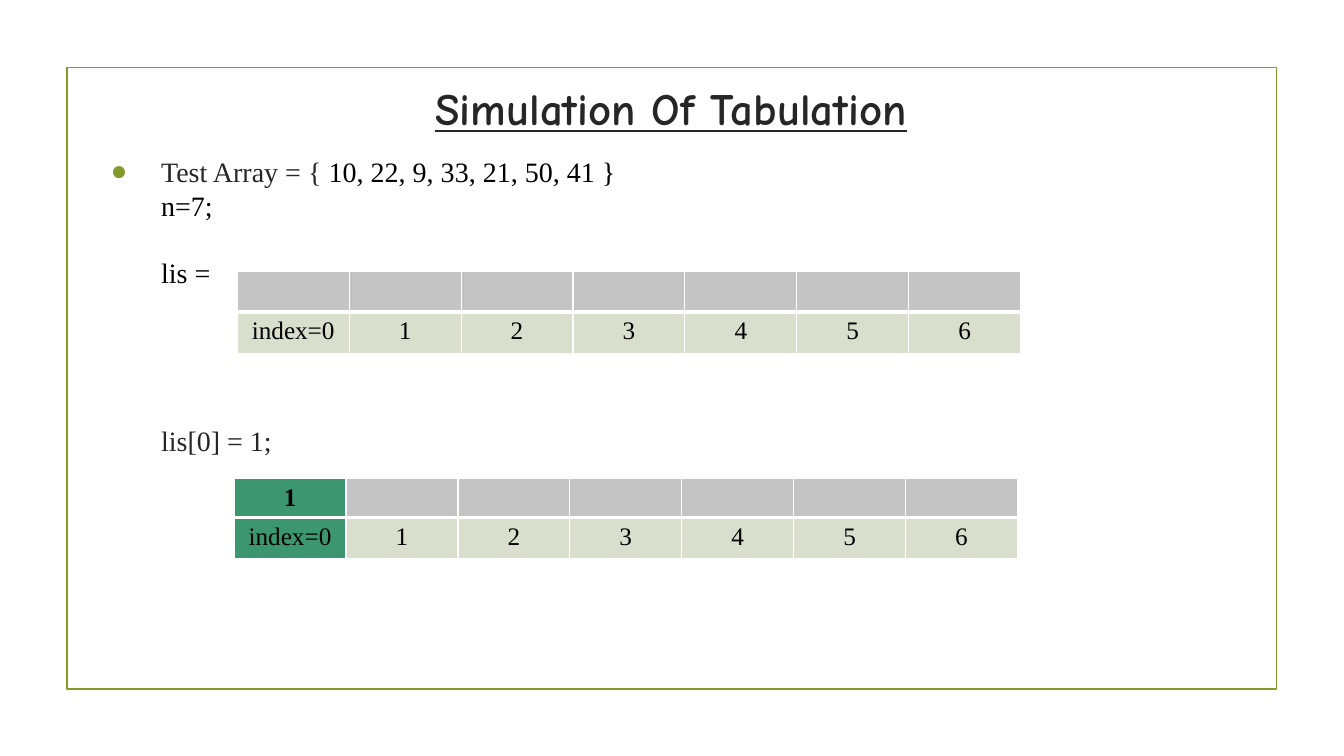
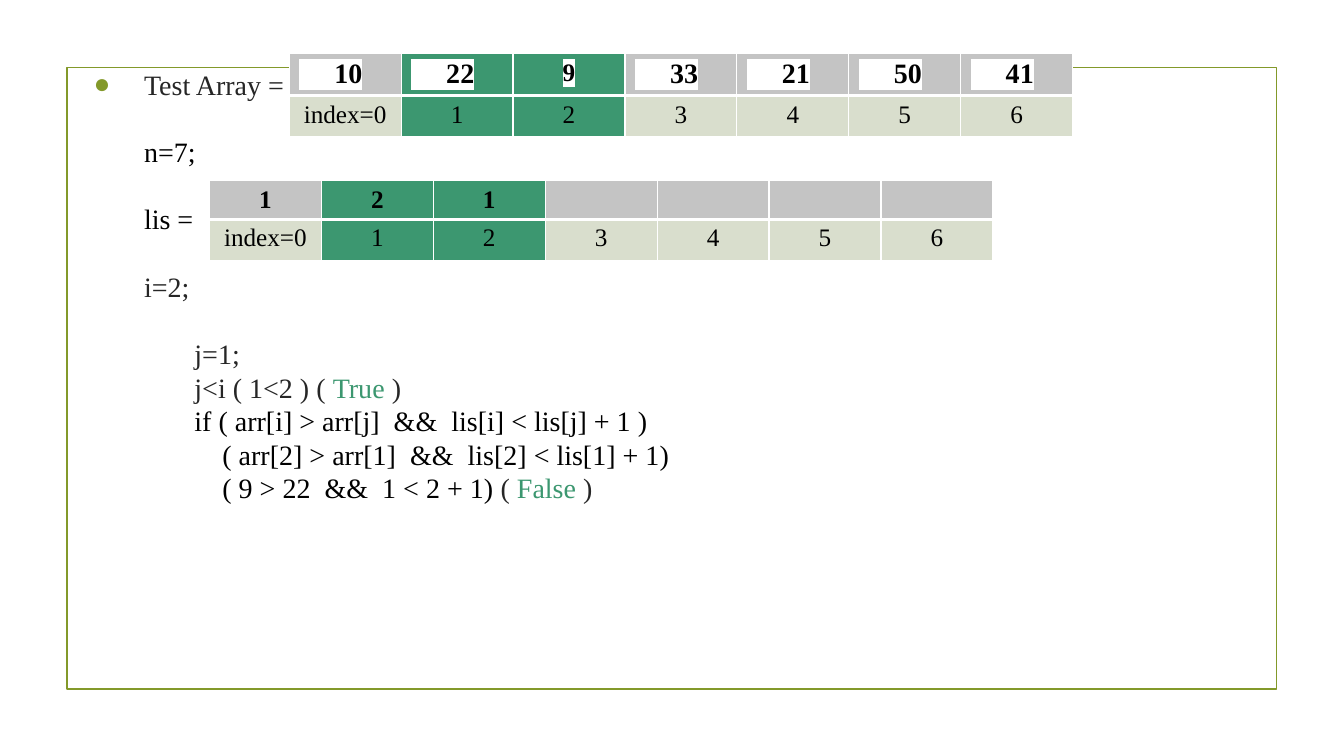
import pptx
import pptx.dml.color
import pptx.enum.shapes
import pptx.enum.text
import pptx.oxml.ns
import pptx.util
from lxml import etree

Cm, Pt = pptx.util.Cm, pptx.util.Pt
RGB = pptx.dml.color.RGBColor.from_string
qn = pptx.oxml.ns.qn

COLORS = {
    "olive": "83992A", "green": "3C9770", "gray": "C4C4C4", "sage": "D9DECD",
    "dark": "262626", "black": "000000", "white": "FFFFFF",
}
BODY_FONT = "Times New Roman"
TITLE_FONT = "Comic Neue"
LINE = 24  # points from one text line to the next
COLUMN = Cm(2.82)
INDEX_LABELS = ["index=0", "1", "2", "3", "4", "5", "6"]
INDEX_ROW = Cm(1.04)


def write(p, text, size=20, color="dark", font=BODY_FONT, bold=False,
          underline=False, highlight=None):
    r = p.add_run()
    r.text = text
    r.font.size = Pt(size)
    r.font.name = font
    r.font.bold = bold
    r.font.underline = underline
    r.font.color.rgb = RGB(COLORS[color])
    if highlight:
        mark = etree.Element(qn("a:highlight"))
        etree.SubElement(mark, qn("a:srgbClr"), val=COLORS[highlight])
        r.font._element.find(qn("a:solidFill")).addnext(mark)


def add_array(s, left, top, values, value_row, active=(), marked=()):
    """Draw values above their indices; active columns are green, marked values highlighted."""
    rows = [values, INDEX_LABELS]
    table = s.shapes.add_table(2, len(values), left, top, COLUMN * len(values),
                               value_row + INDEX_ROW).table
    table.horz_banding = False
    table.rows[0].height, table.rows[1].height = value_row, INDEX_ROW
    for column in table.columns:
        column.width = COLUMN
    for i, row in enumerate(rows):
        for j, text in enumerate(row):
            cell = table.cell(i, j)
            p = cell.text_frame.paragraphs[0]
            p.alignment = pptx.enum.text.PP_ALIGN.CENTER
            if i == 0 and j in marked:
                # the highlight covers the padding before the number
                p.alignment = pptx.enum.text.PP_ALIGN.LEFT
                write(p, f"{text:>7}", color="black", bold=True, highlight="white")
            elif text:
                write(p, text, size=18, color="black", bold=i == 0,
                      highlight="white" if i == 0 and marked else None)
            else:
                etree.SubElement(p._p, qn("a:endParaRPr"), sz="1200")
            tcPr = cell._tc.get_or_add_tcPr()
            thick = "lnT" if i else "lnB"
            for side in ("lnL", "lnR", "lnT", "lnB"):
                ln = etree.SubElement(tcPr, qn("a:" + side),
                                      w=str(Pt(3 if side == thick else 1)))
                fill = etree.SubElement(ln, qn("a:solidFill"))
                etree.SubElement(fill, qn("a:srgbClr"), val=COLORS["white"])
            cell.fill.solid()
            base = "sage" if i else "gray"
            cell.fill.fore_color.rgb = RGB(COLORS["green" if j in active else base])


# Each line: blank lines before it, indent level, runs of (text, colour)
slides = [
    {
        "title": "Simulation Of Tabulation",
        "body": (Cm(2.03), Cm(3.56)),
        "lines": [
            (0, 0, [("Test Array = {", "dark"), (" 10, 22, 9, 33, 21, 50, 41 }", "black")]),
            (0, 0, [("n=7;", "black")]),
            (1, 0, [("lis =", "black")]),
            (4, 0, [("lis[0] = 1;", "dark")]),
        ],
        "arrays": [
            dict(left=Cm(5.98), top=Cm(6.83), values=[""] * 7, value_row=Cm(1.04)),
            dict(left=Cm(5.9), top=Cm(12.06), values=["1"] + [""] * 6,
                 value_row=Cm(0.98), active=[0]),
        ],
    },
    {
        "title": None,
        "body": (Cm(1.6), Cm(1.37)),
        "lines": [
            (0, 0, [("Test Array =", "dark")]),
            (1, 0, [("n=7;", "black")]),
            (1, 0, [("lis =", "black")]),
            (1, 0, [("i=2;", "dark")]),
            (1, 1, [("j=1;", "dark")]),
            (0, 1, [("j<i ( 1<2 ) ( ", "dark"), ("True", "green"), (" )", "dark")]),
            (0, 1, [("if ( arr[i] > arr[j]  &&  lis[i] < lis[j] + 1 )", "black")]),
            (0, 1, [("    ( arr[2] > arr[1]  &&  lis[2] < lis[1] + 1)", "black")]),
            (0, 1, [("    ( 9 > 22  &&  1 < 2 + 1) ", "black"), ("( ", "dark"),
                    ("False", "green"), (" )", "dark")]),
        ],
        "arrays": [
            dict(left=Cm(7.29), top=Cm(1.35),
                 values=["10", "22", "9", "33", "21", "50", "41"],
                 value_row=Cm(1.06), active=[1, 2], marked=[0, 1, 3, 4, 5, 6]),
            dict(left=Cm(5.28), top=Cm(4.55), values=["1", "2", "1"] + [""] * 4,
                 value_row=Cm(0.98), active=[1, 2]),
        ],
    },
]

prs = pptx.Presentation()
prs.slide_width, prs.slide_height = Cm(33.87), Cm(19.05)
layout = prs.slide_layouts[1]

for number, content in enumerate(slides):
    s = prs.slides.add_slide(layout)
    title, body = s.shapes.title, s.placeholders[1]

    if number == 0:
        # The frame belongs to the master, so every slide shows it
        frame = s.shapes.add_shape(pptx.enum.shapes.MSO_SHAPE.RECTANGLE,
                                   Cm(1.69), Cm(1.7), Cm(30.48), Cm(15.67))
        frame.shadow.inherit = False
        frame.fill.background()
        frame.line.color.rgb = RGB(COLORS["olive"])
        frame.line.width = Pt(1.25)
        prs.slide_master.shapes.element.insert(2, frame.element)

    if content["title"]:
        title.left, title.top, title.width, title.height = Cm(1.14), Cm(1.65), Cm(31.55), Cm(2.13)
        tf = title.text_frame
        tf.auto_size = pptx.enum.text.MSO_AUTO_SIZE.NONE
        tf.vertical_anchor = pptx.enum.text.MSO_ANCHOR.MIDDLE
        p = tf.paragraphs[0]
        p.alignment = pptx.enum.text.PP_ALIGN.CENTER
        write(p, content["title"], size=32, font=TITLE_FONT, bold=True, underline=True)
    else:
        title.element.getparent().remove(title.element)

    body.left, body.top = content["body"]
    body.width, body.height = Cm(29.7), Cm(13.5)
    tf = body.text_frame
    tf.auto_size = pptx.enum.text.MSO_AUTO_SIZE.NONE
    tf.margin_left = tf.margin_top = tf.margin_right = tf.margin_bottom = Cm(0.33)
    for i, (blank_lines, level, runs) in enumerate(content["lines"]):
        p = tf.add_paragraph() if i else tf.paragraphs[0]
        pPr = p._p.get_or_add_pPr()
        pPr.set("marL", str(Cm(1.7 + 1.27 * level)))
        if i:
            pPr.set("indent", "0")
            etree.SubElement(pPr, qn("a:buNone"))
        else:
            pPr.set("indent", str(-Cm(1.27)))
            bullet_color = etree.SubElement(pPr, qn("a:buClr"))
            etree.SubElement(bullet_color, qn("a:srgbClr"), val=COLORS["olive"])
            etree.SubElement(pPr, qn("a:buChar"), char="●")
        p.line_spacing = Pt(LINE)
        p.space_before = Pt(LINE * blank_lines)
        p.space_after = Pt(0)
        for text, color in runs:
            write(p, text, color=color)

    for array in content["arrays"]:
        add_array(s, **array)

prs.save("out.pptx")
